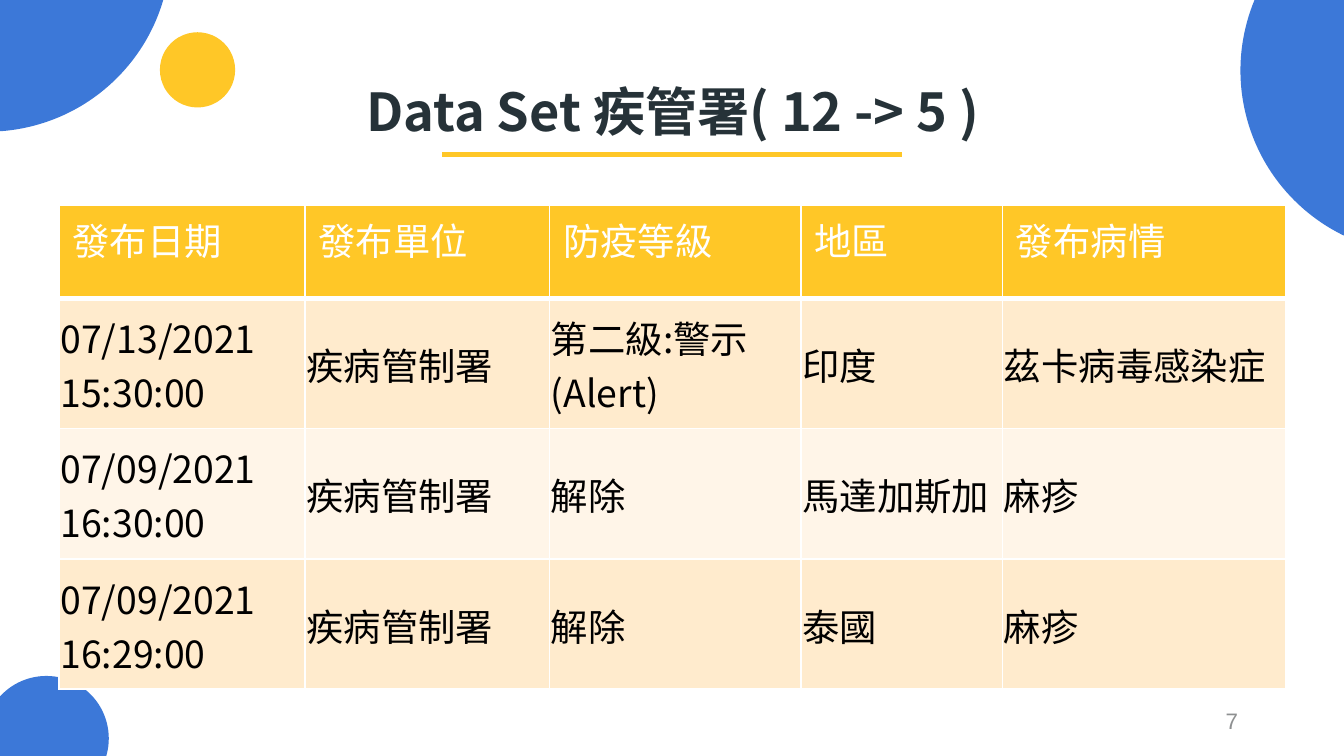
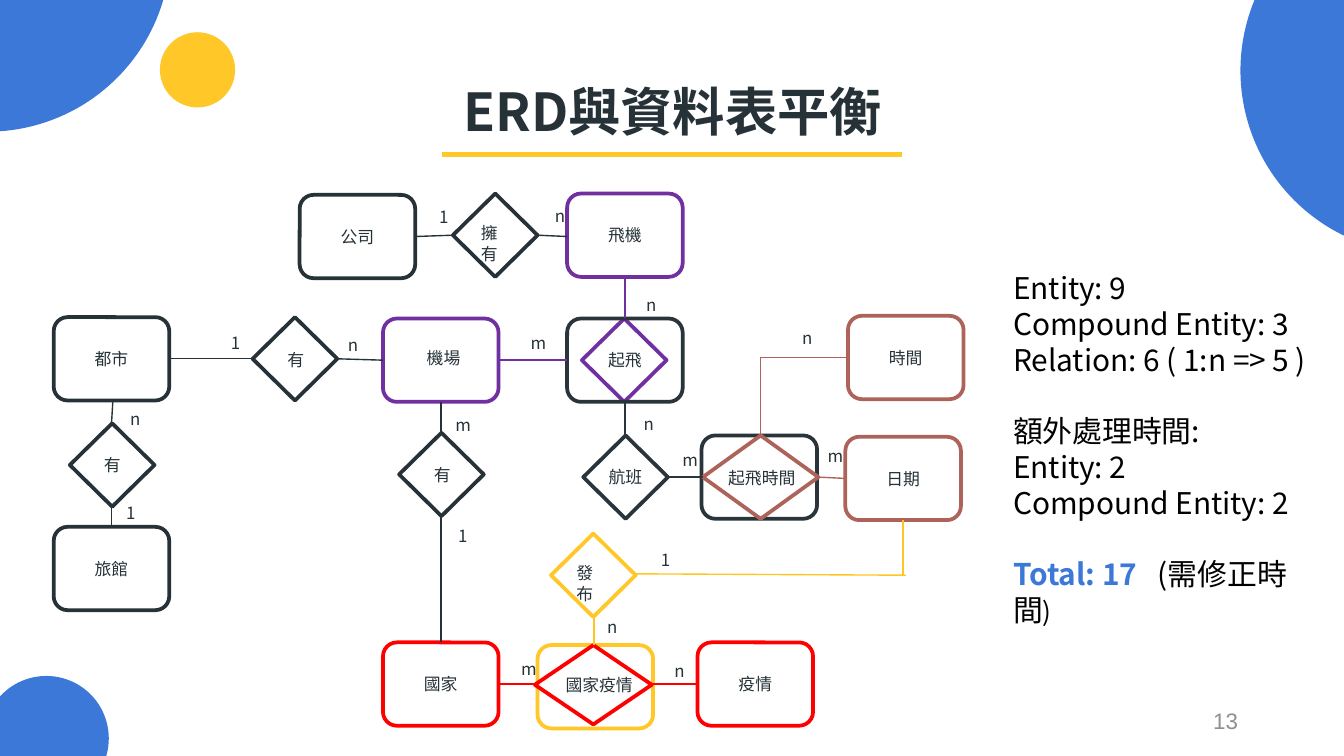
"""Build two slides: a disease alert table and an entity relationship diagram."""
from dataclasses import dataclass

from lxml import etree
from pptx import Presentation
from pptx.dml.color import RGBColor
from pptx.enum.shapes import MSO_CONNECTOR, MSO_SHAPE
from pptx.enum.text import MSO_ANCHOR, PP_ALIGN
from pptx.oxml.ns import qn
from pptx.util import Inches, Pt

OVAL, BOX, DIAMOND = MSO_SHAPE.OVAL, MSO_SHAPE.ROUNDED_RECTANGLE, MSO_SHAPE.DIAMOND
STRAIGHT = MSO_CONNECTOR.STRAIGHT
LEFT, CENTER, RIGHT = PP_ALIGN.LEFT, PP_ALIGN.CENTER, PP_ALIGN.RIGHT
TOP, MIDDLE = MSO_ANCHOR.TOP, MSO_ANCHOR.MIDDLE

COLORS = {
    "white": "FFFFFF", "black": "000000", "blue": "3C78D8", "yellow": "FFC727",
    "amber": "FFC521", "ink": "263238", "slate": "29353B", "gray": "8E9091",
    "purple": "7030A0", "red": "FF0000", "brown": "AD6359",
    "band dark": "FFEBCD", "band light": "FFF5E8",
}
FONT = "Noto Sans CJK SC"
TITLE = {"name": FONT, "size": Pt(28), "bold": True}
NUMBER = {"name": "Arial", "size": Pt(12)}
CELL = {"name": FONT, "size": Pt(20)}
SMALL = {"name": FONT, "size": Pt(9)}
BODY = {"name": FONT, "size": Pt(16)}
GROUP_GAP = Pt(19)


@dataclass
class Circle:
    """A decorative circle."""
    left: float
    top: float
    size: float
    color: str


@dataclass
class Node:
    """An entity box or a relation diamond, with its centred text."""
    kind: int
    left: float
    top: float
    color: str = "ink"
    text: str = ""
    width: float = 0.86
    height: float = 0.62


@dataclass
class Link:
    """A straight line between two points."""
    start: tuple[float, float]
    end: tuple[float, float]
    color: str = "ink"
    weight: float = 0.75


@dataclass
class Label:
    """A small text box."""
    text: str
    left: float
    top: float
    width: float = 0.37
    height: float = 0.26
    align: int = LEFT


CIRCLES = [
    Circle(-1.46, -1.75, 2.73, "blue"),
    Circle(1.19, 0.24, 0.56, "yellow"),
    Circle(-0.12, 5.03, 0.93, "blue"),
    Circle(9.23, -0.84, 2.73, "blue"),
]
TITLE_RULE = Link((3.29, 1.15), (6.71, 1.15), "yellow", 2.25)

COLUMN_WIDTHS = [1.83, 1.82, 1.87, 1.5, 2.11]
ROW_HEIGHTS = [0.69, 0.97, 0.97, 0.97]
ALERTS = [
    ["發布日期", "發布單位", "防疫等級", "地區", "發布病情"],
    ["07/13/2021 15:30:00", "疾病管制署", "第二級:警示(Alert)", "印度", "茲卡病毒感染症"],
    ["07/09/2021 16:30:00", "疾病管制署", "解除", "馬達加斯加", "麻疹"],
    ["07/09/2021 16:29:00", "疾病管制署", "解除", "泰國", "麻疹"],
]


def relation(left: float, top: float, color: str = "ink", text: str = "") -> Node:
    """Return a diamond of the common relation size."""
    return Node(DIAMOND, left, top, color, text, width=0.63)


NODES = [
    Node(BOX, 0.4, 3.92, text="旅館"),
    Node(BOX, 0.4, 2.36, text="都市"),
    Node(BOX, 2.85, 2.37, "purple"),
    Node(BOX, 5.19, 4.78, "red", "疫情"),
    Node(BOX, 2.23, 1.45, text="公司"),
    Node(BOX, 4.22, 1.44, "purple", "飛機"),
    relation(3.37, 1.44),
    relation(0.52, 3.15, text="有"),
    relation(1.88, 2.36),
    relation(4.33, 2.37, "purple"),
    Node(BOX, 4.22, 2.37, "slate", "起飛"),
    relation(4.34, 3.24, "slate"),
    Node(BOX, 6.29, 3.25, "brown", "日期"),
    Node(BOX, 6.31, 2.35, "brown", "時間"),
    Node(BOX, 5.22, 3.24, "slate"),
    Node(DIAMOND, 5.23, 3.24, "brown"),
    relation(4.1, 3.97, "yellow"),
    Node(BOX, 2.85, 4.78, "red", "國家"),
    Node(BOX, 4, 4.8, "yellow"),
    Node(DIAMOND, 3.98, 4.8, "red", width=0.87, height=0.59),
    relation(2.97, 3.22),
]
LINKS = [
    Link((3.09, 1.76), (3.37, 1.75)),
    Link((4, 1.75), (4.22, 1.76)),
    Link((0.83, 3.92), (0.83, 3.77)),
    Link((0.83, 3.15), (0.84, 2.98)),
    Link((1.88, 2.67), (1.27, 2.67)),
    Link((2.85, 2.68), (2.51, 2.67)),
    Link((4.22, 2.68), (3.72, 2.68), "purple"),
    Link((4.65, 2.37), (4.65, 2.07), "purple"),
    Link((4.65, 2.99), (4.65, 3.24), "slate"),
    Link((4.96, 3.55), (5.23, 3.55), "slate"),
    Link((5.66, 2.66), (6.31, 2.66), "brown"),
    Link((6.09, 3.55), (6.29, 3.56), "brown"),
    Link((5.66, 3.24), (5.66, 2.66), "brown"),
    Link((3.72, 5.09), (3.98, 5.09), "red"),
    Link((4.85, 5.09), (5.19, 5.09), "red"),
    Link((4.42, 4.8), (4.42, 4.59), "amber"),
    Link((3.28, 2.99), (3.28, 3.22)),
    Link((3.28, 3.84), (3.28, 4.78)),
    Link((6.72, 3.87), (6.72, 4.28), "amber"),
    Link((4.73, 4.27), (6.74, 4.28), "amber"),
]
LABELS = [
    Label("機場", 2.99, 2.54, 0.62, align=CENTER),
    Label("擁有", 3.48, 1.61, 0.42, 0.42),
    Label("有", 1.99, 2.55, 0.42, align=CENTER),
    Label("航班", 4.43, 3.42, 0.46, 0.42),
    Label("起飛時間", 5.32, 3.43, 0.86),
    Label("發布", 4.19, 4.14, 0.42, 0.42),
    Label("國家疫情", 4.11, 4.97, 0.87),
    Label("有", 3.08, 3.41, 0.42, align=CENTER),
]
CARDINALITIES = {
    "1": [(0.84, 3.69), (1.62, 2.43), (4.82, 4.04), (3.17, 1.49), (3.31, 3.86)],
    "n": [(0.87, 2.99), (2.49, 2.44), (4.03, 1.48), (4.71, 2.14), (4.42, 4.54),
          (4.92, 4.87), (4.69, 3.03), (5.87, 2.39)],
    "m": [(3.78, 4.85), (3.29, 3.04), (3.85, 2.43), (4.98, 3.3), (6.06, 3.27)],
}
SUMMARY = [
    ["Entity: 9", "Compound Entity: 3", "Relation: 6 ( 1:n => 5 )"],
    ["額外處理時間:", "Entity: 2", "Compound Entity: 2"],
]


def rgb(color: str) -> RGBColor:
    """Return the named colour."""
    return RGBColor.from_string(COLORS[color])


def add_run(paragraph, text: str, style: dict, color: str):
    """Add a run with the given font values and return it."""
    run = paragraph.add_run()
    run.text = text
    for name, value in style.items():
        setattr(run.font, name, value)
    run.font.color.rgb = rgb(color)
    east_asian = etree.SubElement(run.font._element, qn("a:ea"))
    east_asian.set("typeface", style["name"])
    return run


def set_frame(frame, **values) -> None:
    """Wrap a text frame and apply its other values."""
    for name, value in {"word_wrap": True, **values}.items():
        setattr(frame, name, value)


def add_text(slide, label: Label, style: dict, color: str, **values) -> None:
    """Draw a text box of one paragraph."""
    box = slide.shapes.add_textbox(*map(Inches, (label.left, label.top, label.width, label.height)))
    set_frame(box.text_frame, **values)
    paragraph = box.text_frame.paragraphs[0]
    paragraph.alignment = label.align
    add_run(paragraph, label.text, style, color)


def add_node(slide, node: Node) -> None:
    """Draw an outlined shape with its text."""
    shape = slide.shapes.add_shape(
        node.kind, *map(Inches, (node.left, node.top, node.width, node.height)))
    shape.shadow.inherit = False
    shape.fill.background()
    shape.line.color.rgb = rgb(node.color)
    shape.line.width = Pt(2)
    if node.text:
        set_frame(shape.text_frame, vertical_anchor=MIDDLE, margin_left=0, margin_right=0)
        paragraph = shape.text_frame.paragraphs[0]
        paragraph.alignment = CENTER
        add_run(paragraph, node.text, SMALL, "ink")


def add_link(slide, link: Link) -> None:
    """Draw a straight connector without a shadow."""
    connector = slide.shapes.add_connector(STRAIGHT, *map(Inches, link.start + link.end))
    connector.line.color.rgb = rgb(link.color)
    connector.line.width = Pt(link.weight)
    etree.SubElement(connector._element.spPr, qn("a:effectLst"))


def add_base(presentation, title: str, number: str):
    """Add a slide with the shared circles, title, rule and number."""
    slide = presentation.slides.add_slide(presentation.slide_layouts[6])
    add_text(slide, Label(number, 7.06, 5.21, 2.25, 0.3, RIGHT), NUMBER, "gray",
             vertical_anchor=MIDDLE)
    for circle in CIRCLES:
        shape = slide.shapes.add_shape(
            OVAL, *map(Inches, (circle.left, circle.top, circle.size, circle.size)))
        shape.shadow.inherit = False
        shape.fill.solid()
        shape.fill.fore_color.rgb = rgb(circle.color)
        shape.line.fill.background()
    add_text(slide, Label(title, 0.79, 0.49, 8.43, 0.63, CENTER), TITLE, "ink",
             margin_top=Inches(0.1), margin_bottom=Inches(0.1))
    add_link(slide, TITLE_RULE)
    return slide


def set_borders(cell, bottom: float) -> None:
    """Give a cell white borders, placed ahead of its fill."""
    properties = cell._tc.get_or_add_tcPr()
    widths = {"lnL": 1, "lnR": 1, "lnT": 1, "lnB": bottom}
    for index, (side, width) in enumerate(widths.items()):
        line = etree.Element(qn(f"a:{side}"), w=str(Pt(width)))
        fill = etree.SubElement(line, qn("a:solidFill"))
        etree.SubElement(fill, qn("a:srgbClr"), val=COLORS["white"])
        properties.insert(index, line)


def add_alert_table(slide) -> None:
    """Draw the table of alerts."""
    table = slide.shapes.add_table(
        len(ALERTS), len(COLUMN_WIDTHS), Inches(0.44), Inches(1.53),
        Inches(sum(COLUMN_WIDTHS)), Inches(sum(ROW_HEIGHTS))).table
    for column, width in zip(table.columns, COLUMN_WIDTHS):
        column.width = Inches(width)
    for row_index, (row, height) in enumerate(zip(table.rows, ROW_HEIGHTS)):
        row.height = Inches(height)
        header = row_index == 0
        band = "yellow" if header else "band dark" if row_index % 2 else "band light"
        for cell, text in zip(row.cells, ALERTS[row_index]):
            cell.vertical_anchor = TOP if header else MIDDLE
            if not header:
                cell.margin_left = cell.margin_right = cell.margin_top = Inches(0.01)
                cell.margin_bottom = 0
            cell.fill.solid()
            cell.fill.fore_color.rgb = rgb(band)
            set_borders(cell, 3 if header else 1)
            add_run(cell.text_frame.paragraphs[0], text, CELL, "white" if header else "black")


def add_summary(slide) -> None:
    """Draw the counts beside the diagram, with a gap before each group."""
    frame = slide.shapes.add_textbox(*map(Inches, (7.44, 1.96, 2.48, 2.52))).text_frame
    set_frame(frame)
    paragraph = frame.paragraphs[0]
    for group_index, group in enumerate(SUMMARY):
        for line_index, text in enumerate(group):
            if group_index and not line_index:
                paragraph.space_before = GROUP_GAP
            add_run(paragraph, text, BODY, "black")
            paragraph = frame.add_paragraph()
    paragraph.space_before = GROUP_GAP
    add_run(paragraph, "Total: 17", {**BODY, "bold": True}, "blue")
    gap = add_run(paragraph, " ", BODY, "black")
    gap.font._element.set("spc", "720")
    add_run(paragraph, "(需修正時間", BODY, "black")
    add_run(paragraph, ")", {**BODY, "size": Pt(14)}, "black")


def add_diagram(slide) -> None:
    """Draw the nodes, links and labels of the diagram."""
    for node in NODES:
        add_node(slide, node)
    for link in LINKS:
        add_link(slide, link)
    cardinalities = [Label(text, *place) for text, places in CARDINALITIES.items()
                     for place in places]
    for label in LABELS + cardinalities:
        add_text(slide, label, SMALL, "ink")


def main() -> None:
    """Build and save the presentation."""
    presentation = Presentation()
    presentation.slide_width, presentation.slide_height = Inches(10), Inches(5.625)
    add_alert_table(add_base(presentation, "Data Set 疾管署( 12 -> 5 )", "7"))
    diagram_slide = add_base(presentation, "ERD與資料表平衡", "13")
    add_diagram(diagram_slide)
    add_summary(diagram_slide)
    presentation.save("out.pptx")


main()
